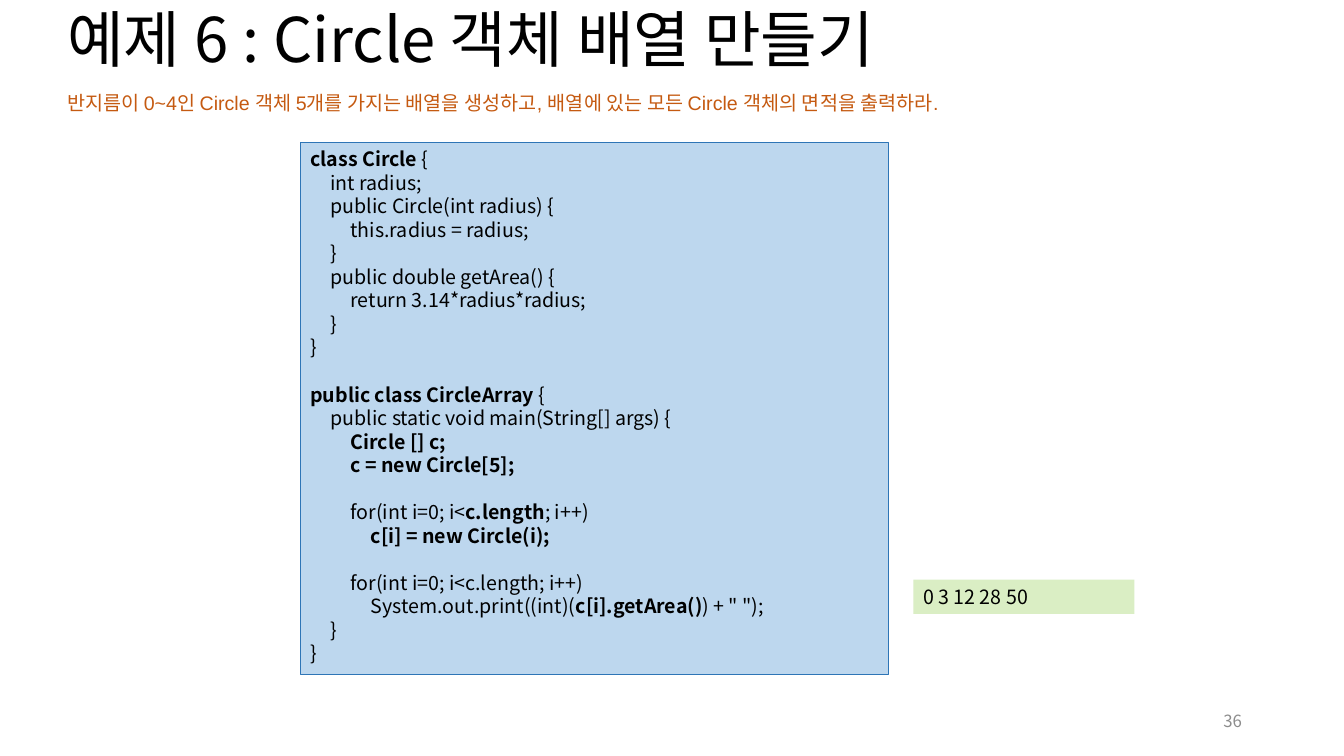
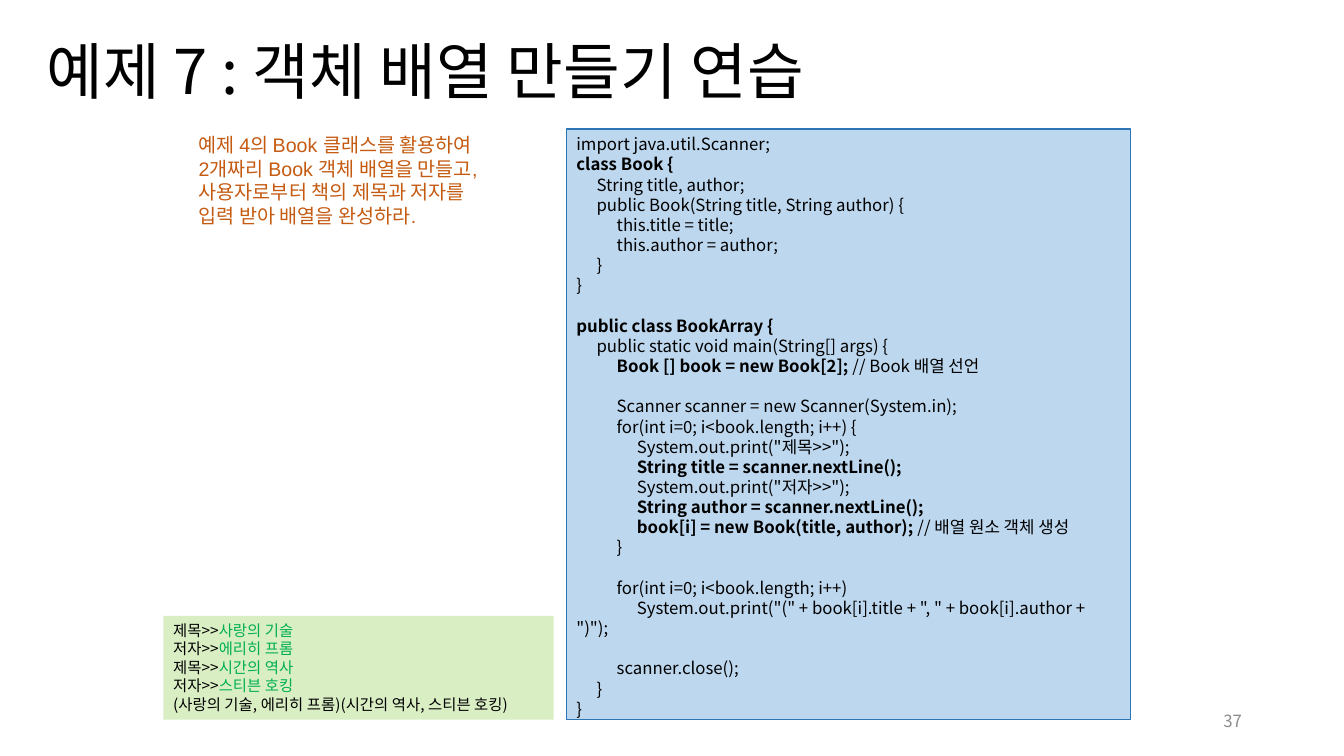
from pptx import Presentation
from pptx.dml.color import RGBColor
from pptx.enum.shapes import MSO_SHAPE
from pptx.enum.text import MSO_ANCHOR, MSO_AUTO_SIZE, PP_ALIGN
from pptx.oxml.ns import qn
from pptx.util import Inches, Pt
from lxml import etree

RECTANGLE = MSO_SHAPE.RECTANGLE
LEFT, RIGHT = PP_ALIGN.LEFT, PP_ALIGN.RIGHT
TOP, MIDDLE = MSO_ANCHOR.TOP, MSO_ANCHOR.MIDDLE
NO_AUTOFIT = MSO_AUTO_SIZE.NONE

WIDTH, HEIGHT = Inches(13.333), Inches(7.5)
TITLE_ONLY = 5
TAB_STEP = Inches(0.2)
INDENT = 4
LINE_HEIGHT = 1.2
EMPHASIS = "**"
CODE_FONT, TASK_FONT = "Noto Sans CJK KR", "Arial"
COLORS = {
    "text": "000000",
    "number": "8C8C8C",
    "task": "C55A11",
    "code": "BDD7EE",
    "code_line": "2E75B6",
    "output": "DAEEC4",
    "input": "00B050",
}

# Boxes are left, top, width, height in percent of the slide.
NUMBER_BOX = (70.65, 92.67, 22.5, 5.33)

CIRCLE_CODE = [
    "**class Circle **{",
    "    int radius;",
    "    public Circle(int radius) {",
    "        this.radius = radius;",
    "    }",
    "    public double getArea() {",
    "        return 3.14*radius*radius;",
    "    }",
    "}",
    "",
    "**public class CircleArray **{",
    "    public static void main(String[] args) {",
    "        **Circle [] c;**",
    "        **c = new Circle[5];**",
    "",
    "        for(int i=0; i<**c.length**; i++)",
    "            **c[i] = new Circle(i);**",
    "",
    "        for(int i=0; i<c.length; i++)",
    '            System.out.print((int)(**c[i].getArea()**) + " ");',
    "    }",
    "}",
]

BOOK_CODE = [
    "import java.util.Scanner;",
    "**class Book {**",
    "    String title, author;",
    "    public Book(String title, String author) {",
    "        this.title = title;",
    "        this.author = author;",
    "    }",
    "}",
    "",
    "**public class BookArray {**",
    "    public static void main(String[] args) {",
    "        **Book [] book = new Book[2]; **// Book 배열 선언",
    "",
    "        Scanner scanner = new Scanner(System.in);",
    "        for(int i=0; i<book.length; i++) {",
    '            System.out.print("제목>>");',
    "            **String title = scanner.nextLine();**",
    '            System.out.print("저자>>");',
    "            **String author = scanner.nextLine();**",
    "            **book[i] = new Book(title, author); **// 배열 원소 객체 생성",
    "        }",
    "",
    "        for(int i=0; i<book.length; i++)",
    '            System.out.print("(" + book[i].title + ", " + book[i].author + ")");',
    "",
    "        scanner.close();",
    "    }",
    "}",
]

BOOK_OUTPUT = [
    "제목>>**사랑의 기술**",
    "저자>>**에리히 프롬**",
    "제목>>**시간의 역사**",
    "저자>>**스티븐 호킹**",
    "(사랑의 기술, 에리히 프롬)(시간의 역사, 스티븐 호킹)",
]

EXAMPLES = [
    {
        "number": 36,
        "title": ("예제 6 : Circle 객체 배열 만들기", (4.25, 0, 86.25, 11.33)),
        "task": (
            "반지름이 0~4인 Circle 객체 5개를 가지는 배열을 생성하고, "
            "배열에 있는 모든 Circle 객체의 면적을 출력하라.",
            (4.25, 11.33, 83, 4.53),
        ),
        "code": (CIRCLE_CODE, (22.35, 18.8, 43.75, 70.4), 14),
        "output": (["0 3 12 28 50"], (67.95, 76.67, 16.45, 4.53), 14),
    },
    {
        "number": 37,
        "title": ("예제 7 : 객체 배열 만들기 연습", (2.7, 0.13, 86.25, 19.33)),
        "task": (
            "예제 4의 Book 클래스를 활용하여\n"
            "2개짜리 Book 객체 배열을 만들고,\n"
            "사용자로부터 책의 제목과 저자를\n"
            "입력 받아 배열을 완성하라.",
            (14.05, 16.93, 27.15, 13.87),
        ),
        "code": (BOOK_CODE, (42.15, 17.07, 41.95, 78.13), 12),
        "output": (BOOK_OUTPUT, (12.15, 81.47, 29.05, 13.73), 11),
    },
]


def color(name):
    return RGBColor.from_string(COLORS[name])


def place(box):
    """Turn a box in percent of the slide into lengths."""
    sides = (WIDTH, HEIGHT, WIDTH, HEIGHT)
    return [round(side * share / 100) for side, share in zip(sides, box)]


def style_font(font, size, color_name, name=CODE_FONT):
    font.size = Pt(size)
    font.name = name
    font.color.rgb = color(color_name)


def set_up_frame(text_frame, anchor=TOP):
    text_frame.word_wrap = True
    text_frame.auto_size = NO_AUTOFIT
    text_frame.vertical_anchor = anchor


def add_tab_stops(paragraph, count):
    tab_list = etree.SubElement(paragraph._p.get_or_add_pPr(), qn("a:tabLst"))
    for stop in range(1, count + 1):
        tab = etree.SubElement(tab_list, qn("a:tab"))
        tab.set("pos", str(TAB_STEP * stop))
        tab.set("algn", "l")


def add_marked_runs(paragraph, line, size, mark):
    """Split a line at the emphasis signs and pass every second run to mark."""
    for index, part in enumerate(line.split(EMPHASIS)):
        if not part:
            continue
        run = paragraph.add_run()
        run.text = part
        style_font(run.font, size, "text")
        if index % 2:
            mark(run.font)


def mark_bold(font):
    font.bold = True


def mark_input(font):
    font.color.rgb = color("input")


def add_listing(slide, lines, box, size, fill, mark):
    """Draw a filled box of lines; an empty line becomes space before the next."""
    shape = slide.shapes.add_shape(RECTANGLE, *place(box))
    shape.shadow.inherit = False
    shape.fill.solid()
    shape.fill.fore_color.rgb = color(fill)
    shape.line.fill.background()
    text_frame = shape.text_frame
    set_up_frame(text_frame)
    paragraph, gap = text_frame.paragraphs[0], False
    for index, line in enumerate(lines):
        if not line:
            gap = True
            continue
        if index:
            paragraph = text_frame.add_paragraph()
        paragraph.alignment = LEFT
        code = line.lstrip()
        depth = (len(line) - len(code)) // INDENT
        if depth:
            add_tab_stops(paragraph, depth)
        if gap:
            paragraph.space_before = Pt(size * LINE_HEIGHT)
            gap = False
        add_marked_runs(paragraph, "\t" * depth + code, size, mark)
    return shape


def add_code(slide, lines, box, size):
    shape = add_listing(slide, lines, box, size, "code", mark_bold)
    shape.line.color.rgb = color("code_line")
    shape.line.width = Pt(0.75)


def add_output(slide, lines, box, size):
    add_listing(slide, lines, box, size, "output", mark_input)


def add_text(slide, text, box, size, color_name, font=CODE_FONT, align=LEFT, anchor=TOP):
    text_frame = slide.shapes.add_textbox(*place(box)).text_frame
    set_up_frame(text_frame, anchor)
    text_frame.text = text
    for paragraph in text_frame.paragraphs:
        paragraph.alignment = align
        style_font(paragraph.runs[0].font, size, color_name, font)


def set_title(slide, text, box):
    title = slide.shapes.title
    title.left, title.top, title.width, title.height = place(box)
    set_up_frame(title.text_frame, MIDDLE)
    title.text_frame.text = text
    paragraph = title.text_frame.paragraphs[0]
    paragraph.alignment = LEFT
    paragraph.line_spacing = 0.9
    style_font(paragraph.runs[0].font, 44, "text")


def add_example_slide(presentation, example):
    slide = presentation.slides.add_slide(presentation.slide_layouts[TITLE_ONLY])
    set_title(slide, *example["title"])
    add_text(slide, str(example["number"]), NUMBER_BOX, 12, "number", align=RIGHT, anchor=MIDDLE)
    add_text(slide, *example["task"], 14, "task", TASK_FONT)
    add_code(slide, *example["code"])
    add_output(slide, *example["output"])


def main():
    presentation = Presentation()
    presentation.slide_width, presentation.slide_height = WIDTH, HEIGHT
    for example in EXAMPLES:
        add_example_slide(presentation, example)
    presentation.save("out.pptx")


if __name__ == "__main__":
    main()
